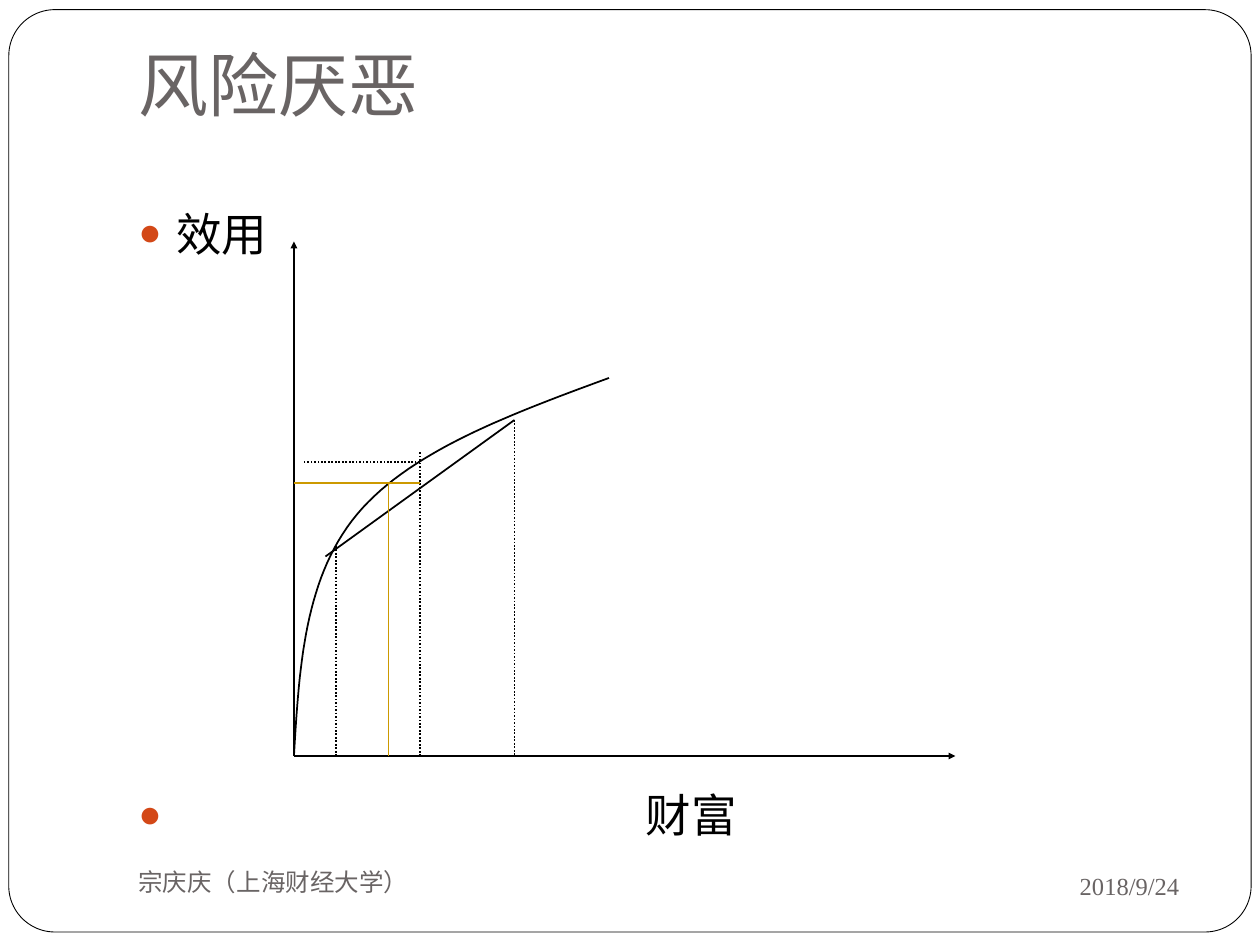
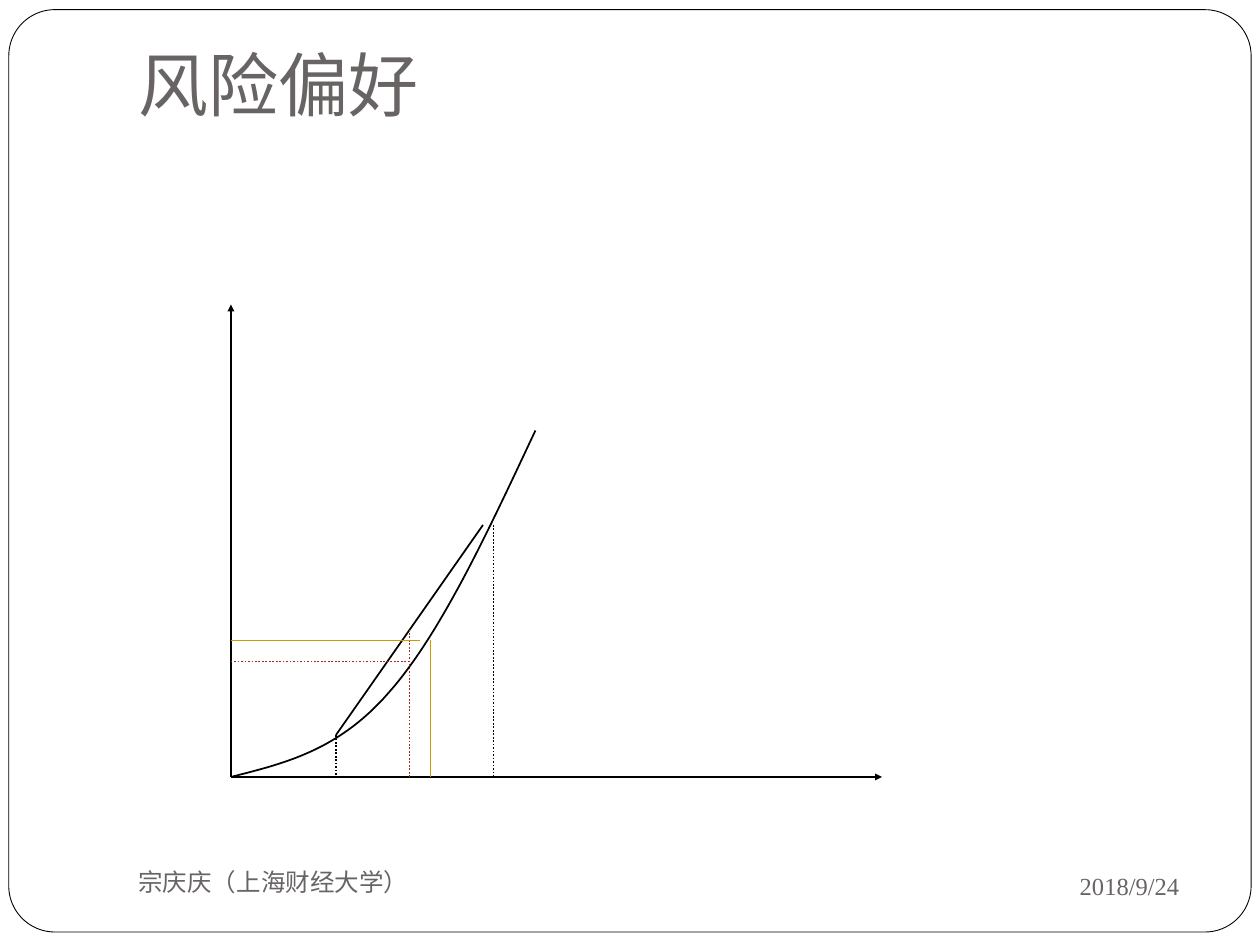
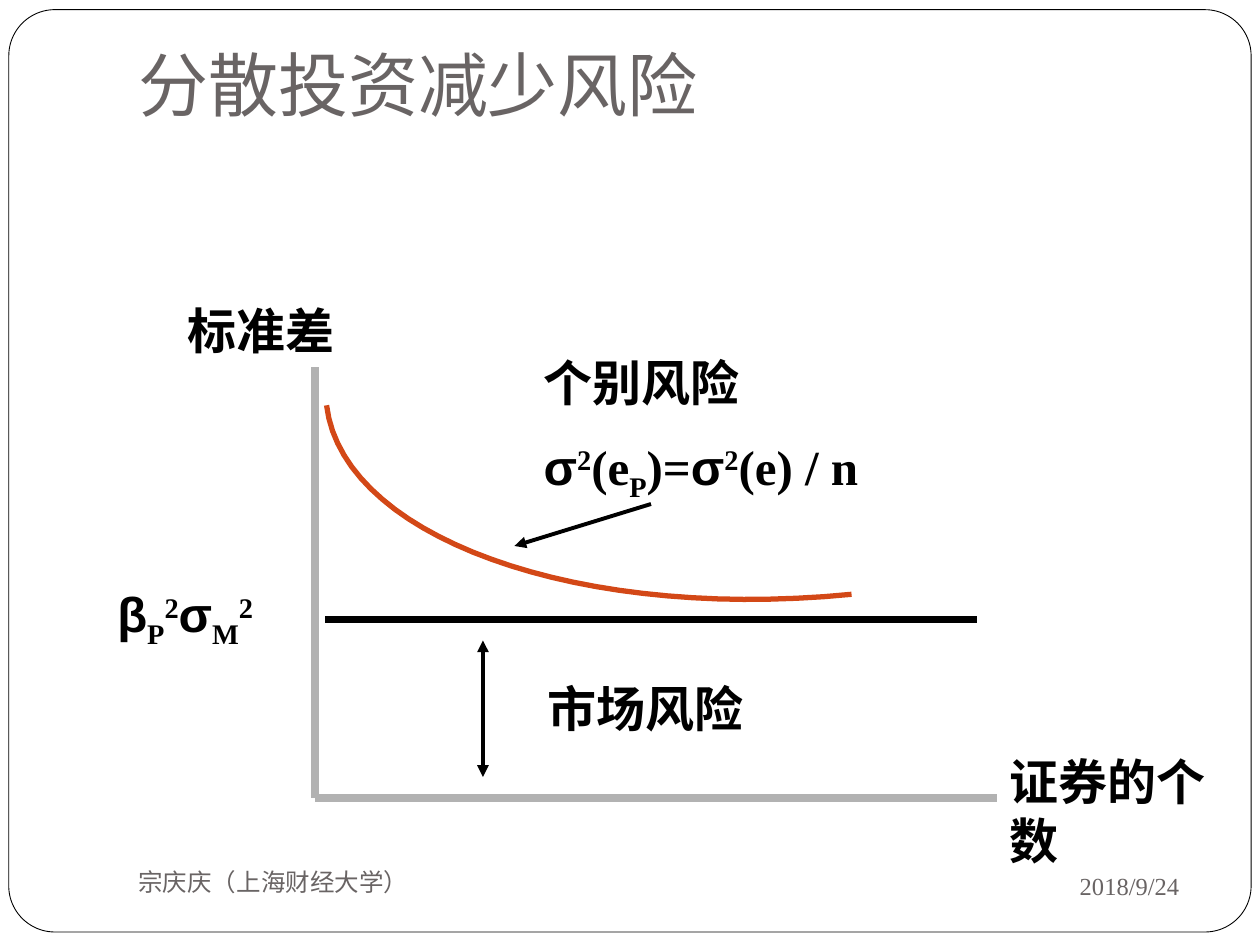
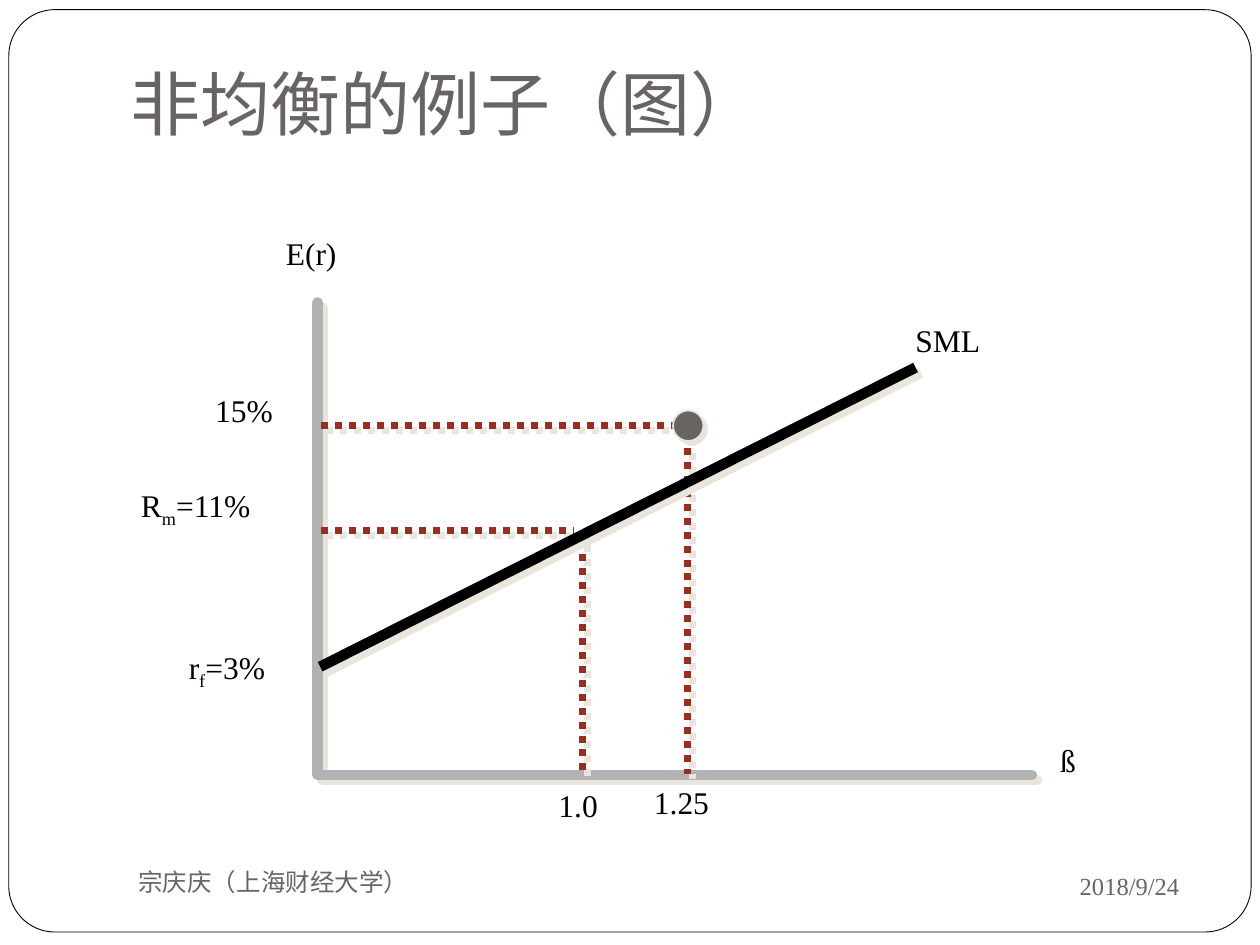
from dataclasses import dataclass
from typing import Optional

import lxml.etree
import pptx
import pptx.dml.color
import pptx.enum.dml
import pptx.enum.shapes
import pptx.enum.text
import pptx.oxml
import pptx.oxml.ns
import pptx.util

RGBColor = pptx.dml.color.RGBColor
Pt = pptx.util.Pt
qn = pptx.oxml.ns.qn
ALIGN = pptx.enum.text.PP_ALIGN
ANCHOR = pptx.enum.text.MSO_ANCHOR
SHAPE = pptx.enum.shapes.MSO_SHAPE

BLACK = RGBColor(0x00, 0x00, 0x00)
WHITE = RGBColor(0xFF, 0xFF, 0xFF)
GRAY = RGBColor(0x69, 0x64, 0x64)
SILVER = RGBColor(0xB2, 0xB2, 0xB2)
SAND = RGBColor(0xE9, 0xE5, 0xDC)
ORANGE = RGBColor(0xD3, 0x48, 0x17)
BRICK = RGBColor(0x9B, 0x2D, 0x1F)
GOLD = RGBColor(0xCC, 0x99, 0x00)

# The slide is a grid of 120 columns by 90 rows of square cells.
COLS, ROWS = 120, 90
CELL = pptx.util.Inches(10) // COLS

SERIF = "Times New Roman"
TITLE_FONT = {"size": Pt(40), "name": "Roboto"}
BODY_FONT = {"size": Pt(26), "name": "Noto Sans CJK SC"}
FOOT_FONT = {"size": Pt(14), "name": SERIF}
LABEL_FONT = {"size": Pt(28), "name": SERIF, "bold": True}
TICK_FONT = {"size": Pt(18), "name": SERIF}

SUPER, SUB = 30, -25
Point = tuple[float, float]


@dataclass(frozen=True)
class Run:
    text: str
    base: int = 0
    font: Optional[str] = None


@dataclass(frozen=True)
class Para:
    runs: tuple[Run, ...]
    before: float = 0
    indent: float = 0
    hang: float = 0  # cells between the bullet and the text


@dataclass(frozen=True)
class Text:
    box: tuple[float, float, float, float]
    paras: tuple[Para, ...]
    font: dict
    color: RGBColor = BLACK
    anchor: ANCHOR = ANCHOR.TOP
    align: ALIGN = ALIGN.LEFT
    wrap: bool = True
    bottom: float = 3.6


@dataclass(frozen=True)
class Pen:
    color: RGBColor = BLACK
    width: float = 1
    dotted: bool = False
    head: bool = False
    tail: bool = False
    tip: str = "med"
    round_cap: bool = False
    shadow: float = 0


@dataclass(frozen=True)
class Line:
    start: Point
    end: Point
    pen: Pen = Pen()


THIN = Pen()
ARROW = Pen(tail=True, tip="sm")
DOTS = Pen(dotted=True)
BRICK_DOTS = Pen(BRICK, dotted=True)
GOLD_LINE = Pen(GOLD)
THICK_AXIS = Pen(SILVER, 4.5)
SHADOW_DOTS = Pen(BRICK, 4, dotted=True, shadow=4.2)


def cells(*lengths: float) -> list[pptx.util.Emu]:
    return [pptx.util.Emu(round(n * CELL)) for n in lengths]


def sub(parent, tag: str, **attrs):
    return lxml.etree.SubElement(parent, qn(tag), attrs)


def set_effect(sp, distance: float = 0) -> None:
    """Replace the theme's shadow by none, or by a sand one at 45 degrees."""
    props = sp._element.spPr
    for old in props.findall(qn("a:effectLst")):
        props.remove(old)
    effects = sub(props, "a:effectLst")
    if distance:
        shadow = sub(effects, "a:outerShdw", dist=str(Pt(distance)),
                     dir="2700000", algn="ctr", rotWithShape="0")
        sub(shadow, "a:srgbClr", val=str(SAND))


def apply_pen(sp, pen: Pen) -> None:
    sp.line.color.rgb = pen.color
    sp.line.width = Pt(pen.width)
    if pen.dotted:
        sp.line.dash_style = pptx.enum.dml.MSO_LINE.ROUND_DOT
    ln = sp.line._get_or_add_ln()
    if pen.round_cap:
        ln.set("cap", "rnd")
    for tag, wanted in (("a:headEnd", pen.head), ("a:tailEnd", pen.tail)):
        if wanted:
            sub(ln, tag, type="triangle", w=pen.tip, len=pen.tip)
    set_effect(sp, pen.shadow)


def draw_lines(slide, lines: list[Line]) -> None:
    for line in lines:
        sp = slide.shapes.add_connector(
            pptx.enum.shapes.MSO_CONNECTOR.STRAIGHT,
            *cells(*line.start, *line.end))
        apply_pen(sp, line.pen)


def draw_path(slide, points: list[Point], pen: Pen) -> None:
    first, *rest = [tuple(cells(*point)) for point in points]
    builder = slide.shapes.build_freeform(*first, scale=1.0)
    builder.add_line_segments(rest, close=False)
    sp = builder.convert_to_shape()
    sp.fill.background()
    apply_pen(sp, pen)


def bezier(points: list[Point], steps: int = 30) -> list[Point]:
    """Sample joined cubic curves: a start, then three points for each curve."""
    path = [points[0]]
    for i in range(0, len(points) - 1, 3):
        a, b, c, d = points[i:i + 4]
        for k in range(1, steps + 1):
            t = k / steps
            weights = ((1 - t) ** 3, 3 * t * (1 - t) ** 2,
                       3 * t * t * (1 - t), t ** 3)
            path.append(tuple(sum(w * p[axis] for w, p in zip(weights, (a, b, c, d)))
                              for axis in (0, 1)))
    return path


def set_indent(p, para: Para) -> None:
    props = p._p.get_or_add_pPr()
    left, hang = cells(para.indent + para.hang, para.hang)
    props.set("marL", str(left))
    props.set("indent", str(-hang))
    if para.hang:
        sub(sub(props, "a:buClr"), "a:srgbClr", val=str(ORANGE))
        sub(props, "a:buSzPct", val="85000")
        sub(props, "a:buFont", typeface=SERIF)
        sub(props, "a:buChar", char="●")


def draw_text(slide, text: Text) -> None:
    tf = slide.shapes.add_textbox(*cells(*text.box)).text_frame
    frame = {"word_wrap": text.wrap, "vertical_anchor": text.anchor,
             "margin_bottom": Pt(text.bottom)}
    for name, value in frame.items():
        setattr(tf, name, value)
    for i, para in enumerate(text.paras):
        p = tf.add_paragraph() if i else tf.paragraphs[0]
        p.alignment = text.align
        p.space_before = Pt(para.before)
        set_indent(p, para)
        for run in para.runs:
            r = p.add_run()
            r.text = run.text
            for name, value in text.font.items():
                setattr(r.font, name, value)
            r.font.color.rgb = text.color
            if run.font:
                r.font.name = run.font
            if run.base:
                r._r.get_or_add_rPr().set("baseline", str(run.base * 1000))


def plain(text: str, **layout: float) -> tuple[Para, ...]:
    return (Para((Run(text),), **layout),)


def label(box: tuple, *paras: Para) -> Text:
    return Text(box, paras, LABEL_FONT)


def tick(left: float, top: float, width: float, *runs: Run) -> Text:
    return Text((left, top, width, 6), (Para(runs),), TICK_FONT, wrap=False)


def start_slide(prs, title: str, left: float = 12, top: float = 2.8):
    """Add a slide with the frame, title and footers that all slides share."""
    slide = prs.slides.add_slide(prs.slide_layouts[6])
    sp = slide.shapes.add_shape(SHAPE.ROUNDED_RECTANGLE,
                                *cells(0.84, 0.92, 118.32, 87.84))
    sp.adjustments[0] = 0.05
    sp.fill.solid()
    sp.fill.fore_color.rgb = WHITE
    apply_pen(sp, Pen(width=0.5))
    shared = [
        Text((left, top, 102, 10.32), plain(title), TITLE_FONT, GRAY,
             ANCHOR.BOTTOM, bottom=7.2),
        Text((81, 81.25, 32.5, 6.25), plain("2018/9/24"), FOOT_FONT, GRAY,
             ANCHOR.MIDDLE, ALIGN.RIGHT),
        Text((12, 81, 52, 6), plain("宗庆庆（上海财经大学）"), FOOT_FONT, GRAY,
             ANCHOR.MIDDLE),
    ]
    for text in shared:
        draw_text(slide, text)
    return slide


def draw_axes(slide, origin: Point, right: float, top: float, pen: Pen) -> None:
    x, y = origin
    draw_lines(slide, [Line(origin, (right, y), pen), Line(origin, (x, top), pen)])


def risk_aversion(prs) -> None:
    slide = start_slide(prs, "风险厌恶")
    paras = plain("效用", before=5.8, hang=3.6) + plain("财富", before=301, hang=48.3)
    draw_text(slide, Text((12, 19, 102, 62), paras, BODY_FONT))
    draw_axes(slide, (28, 72), 91, 23, ARROW)
    draw_path(slide, bezier([(28, 72), (28.5, 63.5), (29, 55), (34, 49),
                             (39, 43), (48.5, 39.5), (58, 36)]), THIN)
    draw_lines(slide, [
        Line((31, 53), (49, 40)),
        Line((32, 52), (32, 72), DOTS),
        Line((49, 40), (49, 72), DOTS),
        Line((40, 72), (40, 43), DOTS),
        Line((40, 44), (29, 44), DOTS),
        Line((40, 46), (28, 46), GOLD_LINE),
        Line((37, 46), (37, 72), GOLD_LINE),
    ])


def risk_seeking(prs) -> None:
    slide = start_slide(prs, "风险偏好")
    draw_axes(slide, (22, 74), 84, 29, ARROW)
    draw_path(slide, bezier([(22, 74), (27.1, 72.7), (32.2, 71.5), (37, 66),
                             (41.9, 60.5), (46.4, 50.8), (51, 41)]), THIN)
    draw_lines(slide, [
        Line((32, 70), (46, 50)),
        Line((32, 70), (32, 74), DOTS),
        Line((47, 50), (47, 74), DOTS),
        Line((39, 74), (39, 60), BRICK_DOTS),
        Line((39, 63), (22, 63), BRICK_DOTS),
        Line((22, 61), (40, 61), GOLD_LINE),
        Line((41, 61), (41, 74), GOLD_LINE),
    ])


def diversification(prs) -> None:
    slide = start_slide(prs, "分散投资减少风险")
    draw_axes(slide, (30, 76), 95, 35, THICK_AXIS)
    draw_path(slide, bezier([(81.1, 56.6), (54.8, 59.2), (32.6, 51.1),
                             (31.1, 38.6)]), Pen(ORANGE, 3))
    draw_lines(slide, [
        Line((31, 59), (93, 59), Pen(width=4.5)),
        Line((46, 61), (46, 74), Pen(width=2.25, head=True, tail=True)),
        Line((62, 48), (49, 52), Pen(width=2.25, tail=True)),
    ])
    sigma, squared = Run("σ", font="Arial"), Run("2", SUPER)
    formula = (sigma, squared, Run("(e"), Run("P", SUB), Run(")="),
               sigma, squared, Run("(e) / n"))
    market = (Run("β", font="Arial"), Run("P", SUB), squared,
              sigma, Run("M", SUB), squared)
    for text in (
        label((95, 71, 25, 12.4), *plain("证券的个数", before=14)),
        label((5, 28, 38, 6.8), *plain("标准差", before=14, indent=11.7)),
        label((51, 64, 29, 6.8), *plain("市场风险", before=14)),
        label((50.6, 33, 49.3, 15.2), *plain("个别风险", before=14),
              Para(formula, before=14)),
        label((10, 55, 19, 6.8), Para(market, before=14)),
    ):
        draw_text(slide, text)


def disequilibrium(prs) -> None:
    slide = start_slide(prs, "非均衡的例子（图）", 11.28, 4.68)
    draw_path(slide, [(30.24, 28.8), (30.24, 73.8), (98.28, 73.8)],
              Pen(SILVER, 6, round_cap=True, shadow=4.2))
    draw_lines(slide, [
        Line((30.6, 50.5), (54.7, 50.5), SHADOW_DOTS),
        Line((55.5, 51.4), (55.5, 73.7), SHADOW_DOTS),
        Line((30.6, 40.5), (65.6, 40.5), SHADOW_DOTS),
        Line((65.5, 41.3), (65.5, 73.7), SHADOW_DOTS),
        Line((30.5, 63.5), (87.2, 35), Pen(width=6, shadow=4.2)),
    ])
    sp = slide.shapes.add_shape(SHAPE.OVAL, *cells(64.1, 39.1, 2.9, 2.9))
    sp.fill.solid()
    sp.fill.fore_color.rgb = GRAY
    apply_pen(sp, Pen(SAND, shadow=2.8))
    for text in (
        tick(26.04, 21.7, 8.8, Run("E(r)")),
        tick(19.3, 36.7, 9.7, Run("15%")),
        tick(86, 30, 10.6, Run("SML")),
        tick(99.8, 70, 4.3, Run("ß")),
        tick(52, 74.3, 7.3, Run("1.0")),
        tick(61.1, 74, 9.4, Run("1.25")),
        tick(12.24, 45.7, 16.7, Run("R"), Run("m", SUB), Run("=11%")),
        tick(16.8, 61.1, 12.2, Run("r"), Run("f", SUB), Run("=3%")),
    ):
        draw_text(slide, text)


def main() -> None:
    prs = pptx.Presentation()
    prs.slide_width, prs.slide_height = cells(COLS, ROWS)
    for build in (risk_aversion, risk_seeking, diversification, disequilibrium):
        build(prs)
    prs.save("out.pptx")


if __name__ == "__main__":
    main()
